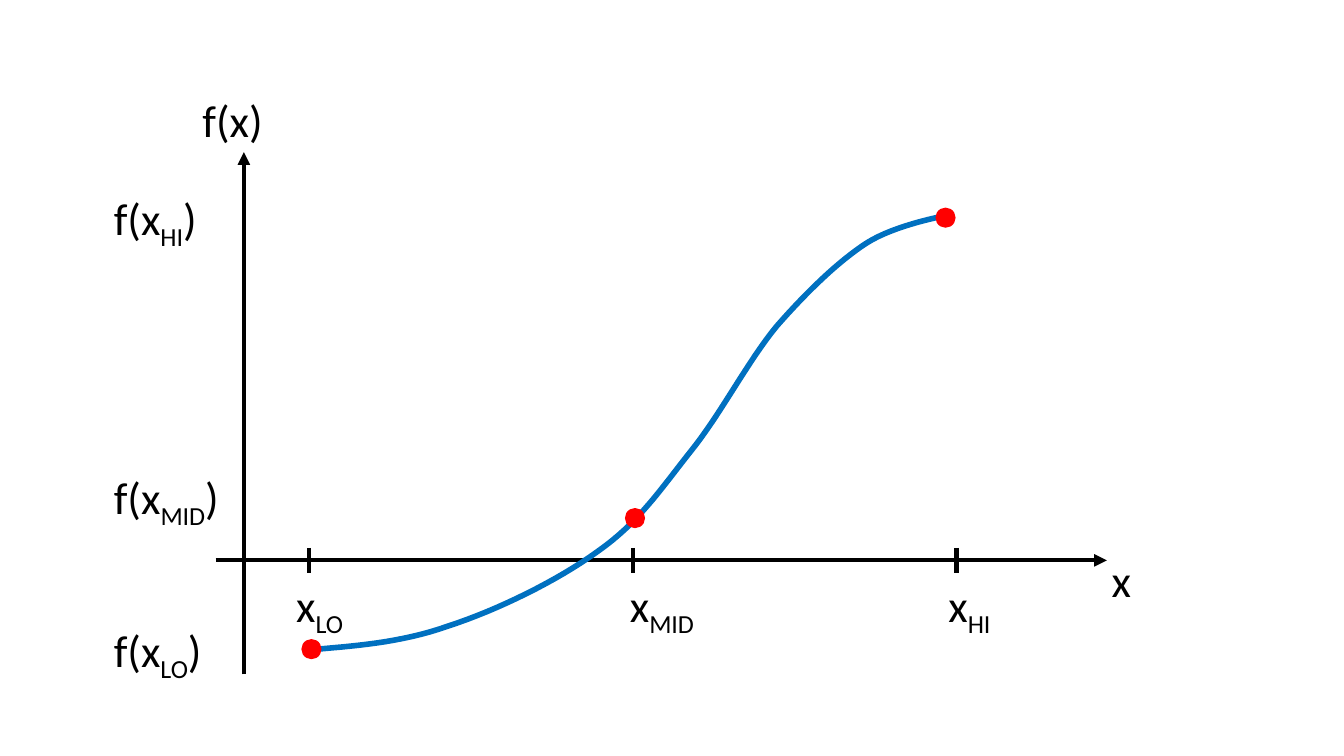
import pptx
import pptx.util
import pptx.dml.color
import pptx.enum.shapes
import pptx.enum.text
import pptx.oxml
import pptx.oxml.ns

Pt = pptx.util.Pt
HUES = {"ink": "000000", "curve": "0070C0", "dot": "FF0000"}


class Sketch:
    """Holds the style and the current slide."""

    font, size, line, dot = "Calibri", 32, 3, 14.4

    def __init__(self, slide):
        """Keep the slide to draw on."""
        self.slide = slide

    def hue(self, name):
        """Look up a colour by name."""
        return pptx.dml.color.RGBColor.from_string(HUES[name])

    def stroke(self, x1, y1, x2, y2, arrow=False):
        """Draw a straight line, with an arrowhead at its end if asked."""
        kind = pptx.enum.shapes.MSO_CONNECTOR.STRAIGHT
        link = self.slide.shapes.add_connector(kind, Pt(x1), Pt(y1), Pt(x2), Pt(y2))
        link.line.color.rgb = self.hue("ink")
        link.line.width = Pt(self.line)
        props = link._element.spPr
        if arrow:
            head = pptx.oxml.parse_xml(
                f'<a:tailEnd {pptx.oxml.ns.nsdecls("a")} type="triangle"/>')
            link.line._get_or_add_ln().append(head)
        props.append(pptx.oxml.parse_xml(
            f'<a:effectLst {pptx.oxml.ns.nsdecls("a")}/>'))

    def curve(self, knots, steps=16):
        """Draw joined cubic arcs; each arc shares its end with the next."""
        dots = []
        for k in range(0, len(knots) - 1, 3):
            a, b, c, d = knots[k:k + 4]
            for n in range(1, steps + 1):
                t = n / steps
                u = 1 - t
                dots.append(tuple(
                    Pt(u**3 * p + 3 * u * u * t * q + 3 * u * t * t * r + t**3 * s)
                    for p, q, r, s in zip(a, b, c, d)))
        x, y = knots[0]
        pen = self.slide.shapes.build_freeform(Pt(x), Pt(y))
        pen.add_line_segments(dots, close=False)
        shape = pen.convert_to_shape()
        shape.shadow.inherit = False
        shape.fill.background()
        shape.line.color.rgb = self.hue("curve")
        shape.line.width = Pt(4)

    def point(self, x, y):
        """Draw a dot centred on x, y."""
        r = self.dot / 2
        shape = self.slide.shapes.add_shape(
            pptx.enum.shapes.MSO_SHAPE.OVAL, Pt(x - r), Pt(y - r),
            Pt(self.dot), Pt(self.dot))
        shape.shadow.inherit = False
        shape.fill.solid()
        shape.fill.fore_color.rgb = self.hue("dot")
        shape.line.fill.background()

    def label(self, x, y, width, text, sub="", end=""):
        """Write text, then a subscript, then the rest."""
        box = self.slide.shapes.add_textbox(Pt(x), Pt(y), Pt(width), Pt(46))
        frame = box.text_frame
        frame.word_wrap = False
        frame.auto_size = pptx.enum.text.MSO_AUTO_SIZE.SHAPE_TO_FIT_TEXT
        for part, base in ((text, 0), (sub, -25000), (end, 0)):
            if not part:
                continue
            run = frame.paragraphs[0].add_run()
            run.text = part
            run.font.name = self.font
            run.font.size = Pt(self.size)
            run.font.color.rgb = self.hue("ink")
            if base:
                run._r.get_or_add_rPr().set("baseline", str(base))


deck = pptx.Presentation()
deck.slide_width, deck.slide_height = Pt(960), Pt(540)
plot = Sketch(deck.slides.add_slide(deck.slide_layouts[6]))

# Axes
AXIS = 400.3
plot.stroke(174.2, 481.7, 174.2, 108.7, arrow=True)
plot.stroke(154.1, AXIS, 790.6, AXIS, arrow=True)

# Function and its three points
plot.curve([
    (218.2, 464.4), (252, 461.5), (285.8, 459.4), (320.4, 447.1),
    (355.7, 435.6), (398.2, 414.7), (427, 393.8),
    (455.8, 373.7), (471.6, 349.9), (493.2, 322.6),
    (514.8, 295.9), (534.2, 257.8), (555.1, 232.6),
    (576.7, 208.1), (599, 186.5), (619.2, 173.5),
    (639.4, 160.6), (675.4, 154.1), (675.4, 154.1)])
for x, y in ((222.5, 463.7), (675.4, 155.5), (453.6, 370.1)):
    plot.point(x, y)

# Ticks, with the name of each value on both axes
MARKS = (("LO", 204.5, 51, 441.4, 81),
         ("MID", 442.8, 65.5, 331.9, 95),
         ("HI", 670.3, 47.5, 132.5, 77))
for i, (sub, x, wide, y, span) in enumerate(MARKS):
    tick = 221 + 231.1 * i
    plot.stroke(tick, AXIS - 9, tick, AXIS + 9)
    plot.label(x, 409, wide, "x", sub)
    plot.label(74.2, y, span, "f(x", sub, ")")
plot.label(787, 391, 29, "x")
plot.label(137.5, 62.6, 58.3, "f(x)")

deck.save("out.pptx")
